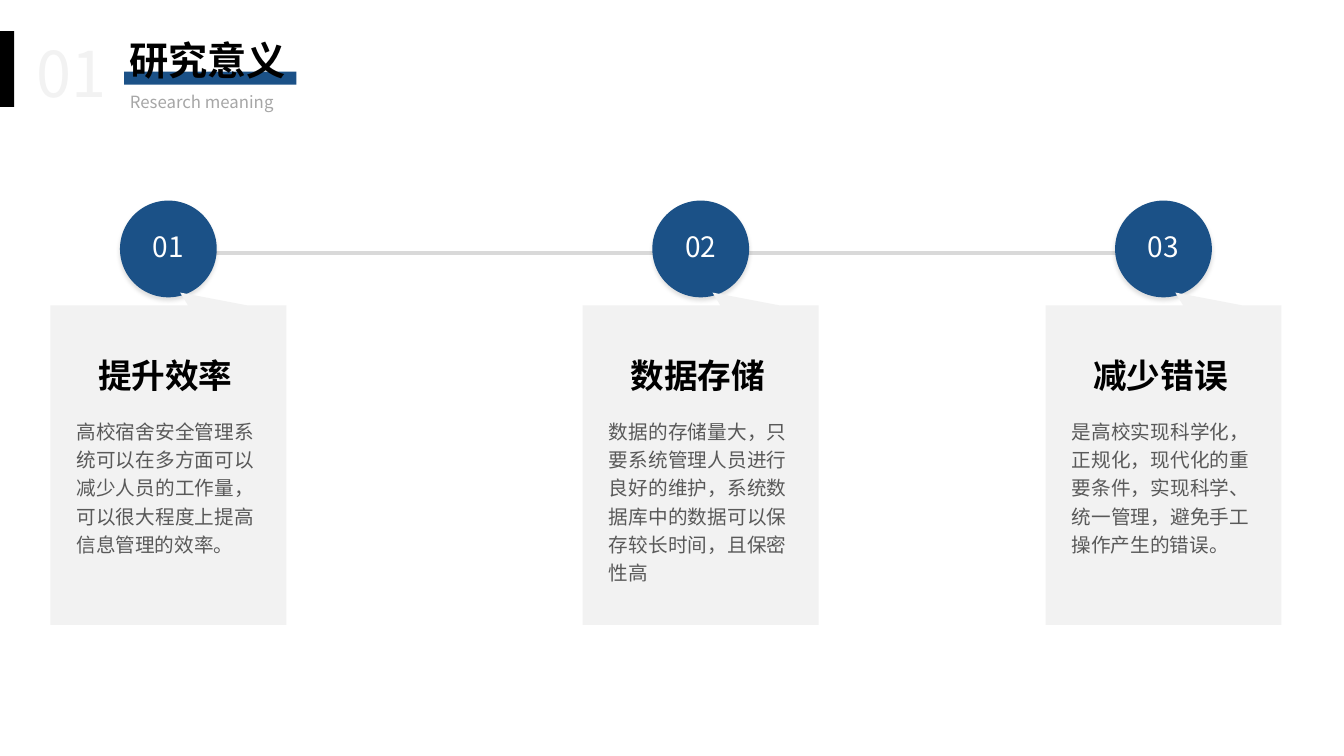
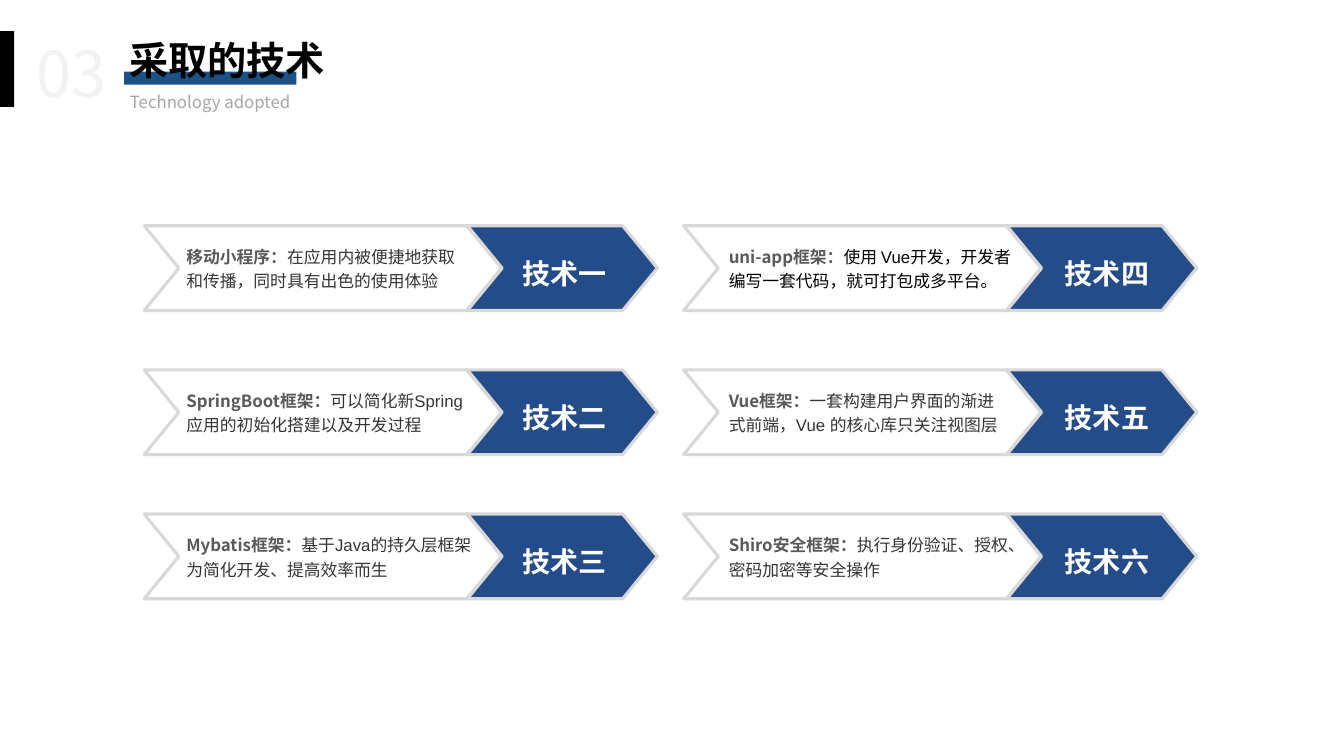
import dataclasses

import lxml.etree
import pptx
import pptx.dml.color
import pptx.enum.shapes
import pptx.enum.text
import pptx.oxml.ns
import pptx.util

Inches = pptx.util.Inches
Pt = pptx.util.Pt
SHAPE = pptx.enum.shapes.MSO_SHAPE
ALIGN = pptx.enum.text.PP_ALIGN
ANCHOR = pptx.enum.text.MSO_ANCHOR
qn = pptx.oxml.ns.qn


@dataclasses.dataclass(frozen=True)
class Theme:
    cjk: str = "Noto Sans CJK SC"
    latin: str = "Arial"
    black: str = "000000"
    white: str = "FFFFFF"
    blue: str = "1B5187"
    arrow_blue: str = "244C89"
    pale: str = "F2F2F2"
    rule: str = "D9D9D9"
    muted: str = "A6A6A6"
    body: str = "595959"
    detail: str = "353535"
    section_size: int = 45
    title_size: int = 28
    heading_size: int = 24
    label_size: int = 20
    body_size: int = 14
    small_size: int = 12
    line_width: float = 2.25


THEME = Theme()
PLAIN_FRAME = {"margin_left": 0, "margin_right": 0, "margin_top": 0, "margin_bottom": 0}

CARD_LEFTS = (0.5, 5.78, 10.37)
CARDS = (
    ("提升效率", "高校宿舍安全管理系统可以在多方面可以减少人员的工作量，可以很大程度上提高信息管理的效率。"),
    ("数据存储", "数据的存储量大，只要系统管理人员进行良好的维护，系统数据库中的数据可以保存较长时间，且保密性高"),
    ("减少错误", "是高校实现科学化，正规化，现代化的重要条件，实现科学、统一管理，避免手工操作产生的错误。"),
)

NARROW, WIDE = 2.96, 3.05
# label, name, description, text width, description colour
TECHNOLOGIES = (
    ("技术一", "移动小程序：", "在应用内被便捷地获取和传播，同时具有出色的使用体验", NARROW, THEME.detail),
    ("技术二", "SpringBoot框架：", "可以简化新Spring应用的初始化搭建以及开发过程", WIDE, THEME.detail),
    ("技术三", "Mybatis框架：", "基于Java的持久层框架为简化开发、提高效率而生", WIDE, THEME.detail),
    ("技术四", "uni-app框架：", "使用 Vue开发，开发者编写一套代码，就可打包成多平台。", WIDE, THEME.black),
    ("技术五", "Vue框架：", "一套构建用户界面的渐进式前端，Vue 的核心库只关注视图层", NARROW, THEME.detail),
    ("技术六", "Shiro安全框架：", "执行身份验证、授权、密码加密等安全操作", WIDE, THEME.detail),
)


def rgb(value):
    return pptx.dml.color.RGBColor.from_string(value)


def apply(target, values):
    for name, value in values.items():
        setattr(target, name, value)


def place(box, left, top, width, height):
    names = ("left", "top", "width", "height")
    apply(box, dict(zip(names, map(Inches, (left, top, width, height)))))


def style(size, color, bold=False, name=THEME.cjk):
    return {"size": Pt(size), "bold": bold, "name": name, "color": color}


def write(box, spans, frame=None, **paragraph):
    """Fill a box with one paragraph of (text, style) spans."""
    apply(box.text_frame, {"word_wrap": True, "vertical_anchor": ANCHOR.TOP, **(frame or {})})
    para = box.text_frame.paragraphs[0]
    apply(para, {"alignment": ALIGN.LEFT, **paragraph})
    for text, values in spans:
        span = para.add_run()
        span.text = text
        apply(span.font, {key: value for key, value in values.items() if key != "color"})
        span.font.color.rgb = rgb(values["color"])
        properties = span._r.get_or_add_rPr()
        lxml.etree.SubElement(properties, qn("a:ea"), typeface=THEME.cjk)


def add_text(page, area, spans, frame=None, **paragraph):
    box = page.shapes.add_textbox(*map(Inches, area))
    write(box, spans, frame, **paragraph)


def add_block(page, kind, area, fill=None, line=None):
    block = page.shapes.add_shape(kind, *map(Inches, area))
    block.shadow.inherit = False
    if fill:
        block.fill.solid()
        block.fill.fore_color.rgb = rgb(fill)
    else:
        block.fill.background()
    if line:
        block.line.color.rgb = rgb(line)
        block.line.width = Pt(THEME.line_width)
    else:
        block.line.fill.background()
    return block


def add_soft_shadow(block):
    effects = block.element.spPr.find(qn("a:effectLst"))
    shadow = lxml.etree.SubElement(
        effects, qn("a:outerShdw"), blurRad=str(Pt(3)), dist=str(Pt(2)),
        dir="5400000", algn="t", rotWithShape="0")
    color = lxml.etree.SubElement(shadow, qn("a:srgbClr"), val=THEME.black)
    lxml.etree.SubElement(color, qn("a:alpha"), val="12000")


def add_page(deck, section, title, subtitle):
    """Add a page with the shared header."""
    page = deck.slides.add_slide(deck.slide_layouts.get_by_name("Title Only"))
    add_block(page, SHAPE.RECTANGLE, (1.23, 0.71, 1.71, 0.13), THEME.blue)
    add_block(page, SHAPE.RECTANGLE, (0, 0.31, 0.14, 0.75), THEME.black)
    heading = page.shapes.title
    place(heading, 1.18, 0.31, 3.19, 0.57)
    write(heading, [(title, style(THEME.title_size, THEME.black, True))],
          {"auto_size": pptx.enum.text.MSO_AUTO_SIZE.NONE})
    # The title lies over its underline band.
    heading.element.getparent().append(heading.element)
    add_text(page, (1.19, 0.86, 3.19, 0.3), [(subtitle, style(THEME.small_size, THEME.muted))])
    add_text(page, (0.36, 0.34, 0.8, 0.9),
             [(section, style(THEME.section_size, THEME.pale))], PLAIN_FRAME)
    return page


def add_timeline(page):
    line = page.shapes.add_connector(
        pptx.enum.shapes.MSO_CONNECTOR.STRAIGHT, *map(Inches, (1.23, 2.51, 11.07, 2.51)))
    line.line.color.rgb = rgb(THEME.rule)
    line.line.width = Pt(THEME.line_width)
    lxml.etree.SubElement(line.element.spPr, qn("a:effectLst"))


def add_card(page, left, number, heading, body):
    circle = add_block(page, SHAPE.OVAL, (left + 0.69, 1.99, 0.96, 0.96), THEME.blue)
    add_soft_shadow(circle)
    write(circle, [(number, style(THEME.label_size, THEME.white))],
          {"vertical_anchor": ANCHOR.MIDDLE, **dict.fromkeys(PLAIN_FRAME, Inches(0.1))},
          alignment=ALIGN.CENTER, line_spacing=0.8)
    callout = add_block(page, SHAPE.RECTANGULAR_CALLOUT, (left, 3.03, 2.34, 3.17), THEME.pale)
    callout.adjustments[0], callout.adjustments[1] = 0.05, 0.54
    callout.element.spPr.find(qn("a:xfrm")).set("flipV", "1")
    text_left = left + 0.16
    add_text(page, (text_left, 3.58, 1.96, 0.37),
             [(heading, style(THEME.heading_size, THEME.black, True))],
             alignment=ALIGN.CENTER, line_spacing=0.7)
    add_text(page, (text_left, 4.07, 1.96, 1.77), [(body, style(THEME.body_size, THEME.body))],
             alignment=ALIGN.JUSTIFY, line_spacing=1.2)


def add_chevron(page, area, fill=None):
    chevron = add_block(page, SHAPE.CHEVRON, area, fill, THEME.rule)
    chevron.adjustments[0] = 0.41


def add_technology(page, column, row, label, name, description, width, color):
    left, top = 1.43 + 5.35 * column, 2.24 + 1.43 * row
    text_shift = 0.03 * column
    add_chevron(page, (left + 3.2, top, 1.89, 0.84), THEME.arrow_blue)
    add_chevron(page, (left, top, 3.55, 0.84))
    add_text(page, (left + 0.32 + text_shift, top + 0.12, width, 0.57),
             [(name, style(THEME.small_size, THEME.body, True)),
              (description, style(THEME.small_size, color, name=THEME.latin))],
             line_spacing=1.2)
    add_text(page, (left + 3.74 + text_shift, top + 0.24, 0.86, 0.37),
             [(label, style(THEME.label_size, THEME.white, True))], PLAIN_FRAME,
             alignment=ALIGN.CENTER, line_spacing=1.2)


def main():
    deck = pptx.Presentation()
    deck.slide_width, deck.slide_height = Inches(13.33), Inches(7.5)

    meaning = add_page(deck, "01", "研究意义", "Research meaning")
    add_timeline(meaning)
    for number, (left, card) in enumerate(zip(CARD_LEFTS, CARDS), 1):
        add_card(meaning, left, f"{number:02}", *card)

    adopted = add_page(deck, "03", "采取的技术", "Technology adopted")
    for index, technology in enumerate(TECHNOLOGIES):
        add_technology(adopted, *divmod(index, 3), *technology)

    deck.save("out.pptx")


if __name__ == "__main__":
    main()
